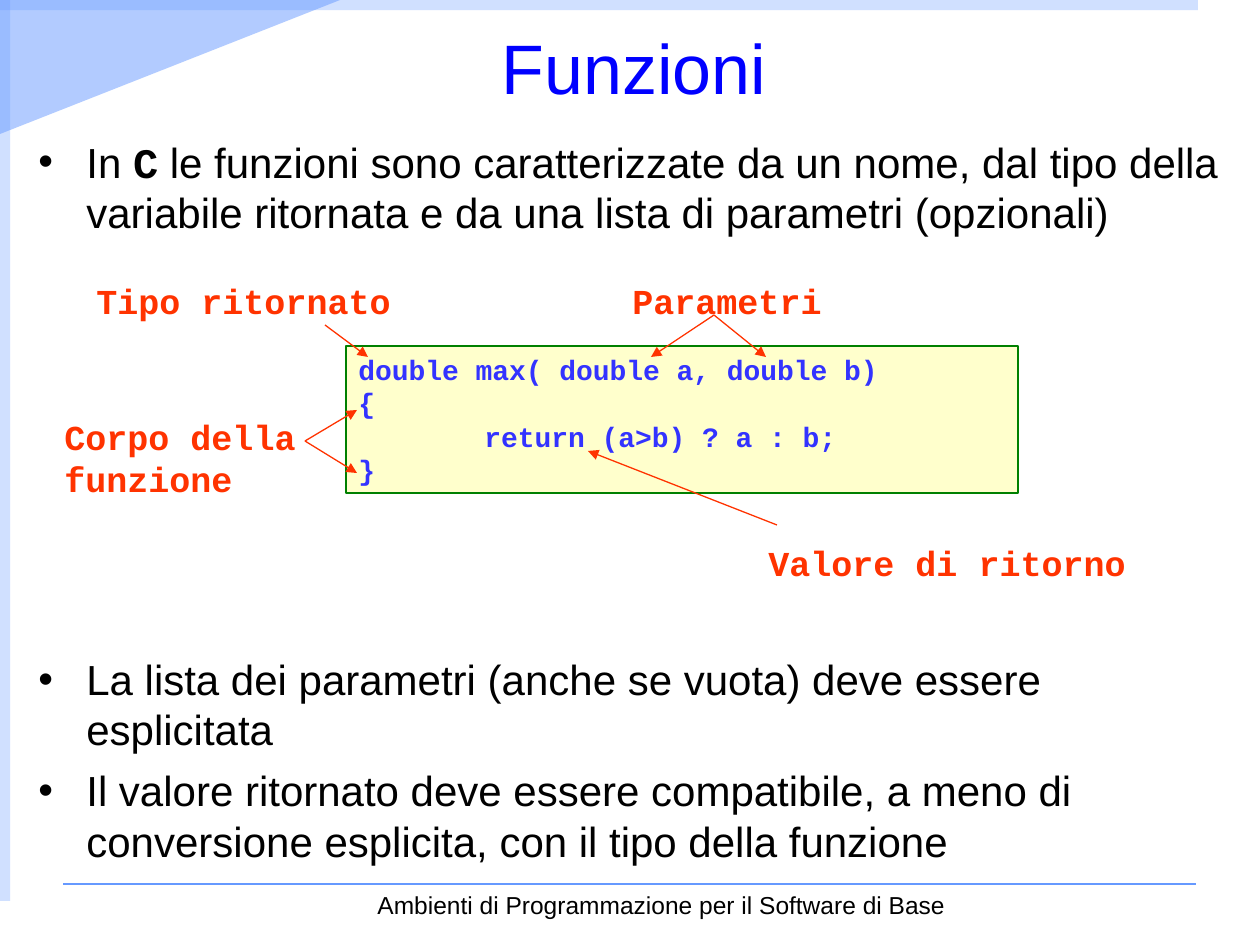
"""Build the slide that explains the parts of a C function."""
from dataclasses import dataclass

from lxml.etree import SubElement
from pptx import Presentation
from pptx.dml.color import RGBColor
from pptx.enum.shapes import MSO_CONNECTOR as CONN, MSO_SHAPE as SHAPE
from pptx.enum.text import MSO_ANCHOR as ANCHOR, PP_ALIGN as ALIGN
from pptx.oxml.ns import qn
from pptx.util import Emu, Pt

BLACK = RGBColor(0x00, 0x00, 0x00)
BLUE = RGBColor(0x00, 0x00, 0xFF)
CODE_BLUE = RGBColor(0x33, 0x33, 0xFF)
SKY = RGBColor(0x66, 0x99, 0xFF)
RED = RGBColor(0xFF, 0x33, 0x00)
GREEN = RGBColor(0x00, 0x80, 0x00)
CREAM = RGBColor(0xFF, 0xFF, 0xCC)
SANS, MONO = "Arial", "Courier New"


@dataclass(frozen=True)
class Label:
    x: int
    y: int
    w: int
    h: int
    lines: tuple[str, ...]


@dataclass(frozen=True)
class Line:
    x1: int
    y1: int
    x2: int
    y2: int


LABELS = (
    Label(756, 535, 388, 55, ("Valore di ritorno",)),
    Label(84, 273, 325, 55, ("Tipo ritornato",)),
    Label(620, 273, 220, 55, ("Parametri",)),
    Label(52, 409, 262, 97, ("Corpo della", "funzione")),
)
ARROWS = (
    Line(325, 325, 368, 357),
    Line(714, 315, 651, 357),
    Line(714, 315, 766, 357),
    Line(305, 441, 357, 410),
    Line(305, 441, 357, 473),
    Line(777, 525, 588, 451),
)
CODE = ("double max( double a, double b)", "{", "\treturn (a>b) ? a : b;", "}")
BULLETS = (
    (6, (("In ", SANS), ("C", MONO),
         (" le funzioni sono caratterizzate da un nome, dal tipo della variabile "
          "ritornata e da una lista di parametri (opzionali)", SANS))),
    (238, (("La lista dei parametri (anche se vuota) deve essere esplicitata", SANS),)),
    (6, (("Il valore ritornato deve essere compatibile, a meno di conversione "
          "esplicita, con il tipo della funzione", SANS),)),
)


def px(n: int) -> Emu:
    """Turn pixels into EMU."""
    return Emu(round(n * 914400 / 126))


def set_alpha(element, percent: int) -> None:
    """Make the solid colour inside an element partly transparent."""
    color = next(element.iter(qn("a:srgbClr")))
    SubElement(color, qn("a:alpha"), val=str(percent * 1000))


def add_run(p, text: str, *, size: int, color: RGBColor, font: str = SANS,
            bold: bool = False) -> None:
    """Add one formatted run to a paragraph."""
    r = p.add_run()
    r.text = text
    r.font.name, r.font.size, r.font.bold = font, Pt(size), bold
    r.font.color.rgb = color


def write(tf, lines: tuple[str, ...], *, align=ALIGN.LEFT, anchor=ANCHOR.TOP,
          wrap: bool = True, tab: int = 0, **fmt) -> None:
    """Fill a text frame with one paragraph a line."""
    tf.word_wrap, tf.vertical_anchor = wrap, anchor
    for i, line in enumerate(lines):
        p = tf.add_paragraph() if i else tf.paragraphs[0]
        p.alignment = align
        if tab:
            stops = SubElement(p._p.get_or_add_pPr(), qn("a:tabLst"))
            SubElement(stops, qn("a:tab"), pos=str(px(tab)), algn="l")
        add_run(p, line, **fmt)


def add_box(s, x: int, y: int, w: int, h: int):
    """Add an empty text box and return its text frame."""
    return s.shapes.add_textbox(px(x), px(y), px(w), px(h)).text_frame


def add_line(s, line: Line, color: RGBColor, *, width: float = 0.75,
             alpha: int = 100, arrow: bool = False) -> None:
    """Draw a straight line, with an arrowhead at its end if asked."""
    c = s.shapes.add_connector(CONN.STRAIGHT, px(line.x1), px(line.y1),
                               px(line.x2), px(line.y2))
    c.line.color.rgb, c.line.width = color, Pt(width)
    ln = c.line._get_or_add_ln()
    if alpha < 100:
        set_alpha(ln, alpha)
    if arrow:
        SubElement(ln, qn("a:tailEnd"), type="triangle")
    SubElement(c._element.spPr, qn("a:effectLst"))


def add_shape(s, kind, x: int, y: int, w: int, h: int, fill: RGBColor):
    """Add a filled preset shape without outline or shadow."""
    sp = s.shapes.add_shape(kind, px(x), px(y), px(w), px(h))
    sp.shadow.inherit = False
    sp.fill.solid()
    sp.fill.fore_color.rgb = fill
    sp.line.fill.background()
    return sp


def add_frame(s) -> None:
    """Draw the corner, the edge bands and the footer."""
    add_line(s, Line(-4, 5, 1198, 5), SKY, width=6, alpha=30)
    add_line(s, Line(5, 901, 5, -3), SKY, width=6, alpha=30)
    corner = add_shape(s, SHAPE.RIGHT_TRIANGLE, 103, -103, 134, 340, SKY)
    corner.rotation = 90
    set_alpha(corner._element.spPr, 50)
    add_line(s, Line(63, 884, 1196, 884), SKY)
    write(add_box(s, 272, 861, 779, 65),
          ("Ambienti di Programmazione per il Software di Base",),
          align=ALIGN.CENTER, anchor=ANCHOR.BOTTOM, size=14, color=BLACK)


def add_title(s, text: str) -> None:
    """Place and format the title placeholder."""
    sp = s.shapes.title
    sp.left, sp.top, sp.width, sp.height = px(72), px(22), px(1124), px(89)
    write(sp.text_frame, (text,), align=ALIGN.CENTER, anchor=ANCHOR.MIDDLE,
          size=40, color=BLUE)


def add_bullets(s) -> None:
    """Write the bulleted text, leaving room for the diagram."""
    tf = add_box(s, 26, 130, 1207, 747)
    tf.word_wrap = True
    for i, (before, runs) in enumerate(BULLETS):
        p = tf.add_paragraph() if i else tf.paragraphs[0]
        p.space_before = Pt(before)
        pPr = p._p.get_or_add_pPr()
        pPr.set("marL", str(px(48)))
        pPr.set("indent", str(-px(48)))
        SubElement(pPr, qn("a:buFont"), typeface=SANS)
        SubElement(pPr, qn("a:buChar"), char="•")
        for text, font in runs:
            add_run(p, text, size=24, color=BLACK, font=font, bold=font == MONO)


def add_diagram(s) -> None:
    """Draw the code box with its labels and arrows."""
    code = add_shape(s, SHAPE.RECTANGLE, 346, 346, 672, 147, CREAM)
    code.line.color.rgb, code.line.width = GREEN, Pt(0.75)
    write(code.text_frame, CODE, tab=126, size=16, color=CODE_BLUE, font=MONO,
          bold=True)
    for b in LABELS:
        write(add_box(s, b.x, b.y, b.w, b.h), b.lines,
              size=20, color=RED, font=MONO, bold=True)
    for arrow in ARROWS:
        add_line(s, arrow, RED, arrow=True)


def main() -> None:
    """Build and save the slide."""
    prs = Presentation()
    prs.slide_width, prs.slide_height = px(1260), px(945)
    s = prs.slides.add_slide(prs.slide_layouts[5])
    add_frame(s)
    add_title(s, "Funzioni")
    add_bullets(s)
    add_diagram(s)
    prs.save("out.pptx")


if __name__ == "__main__":
    main()
